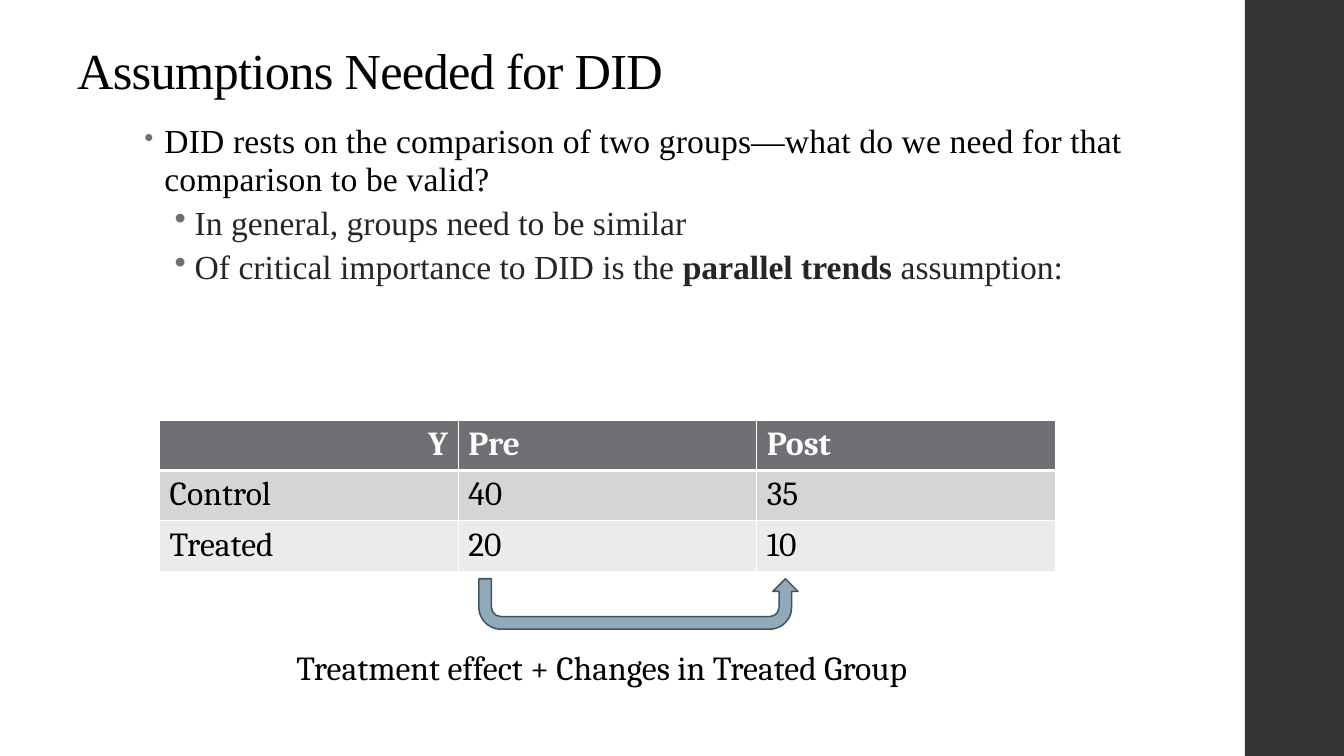
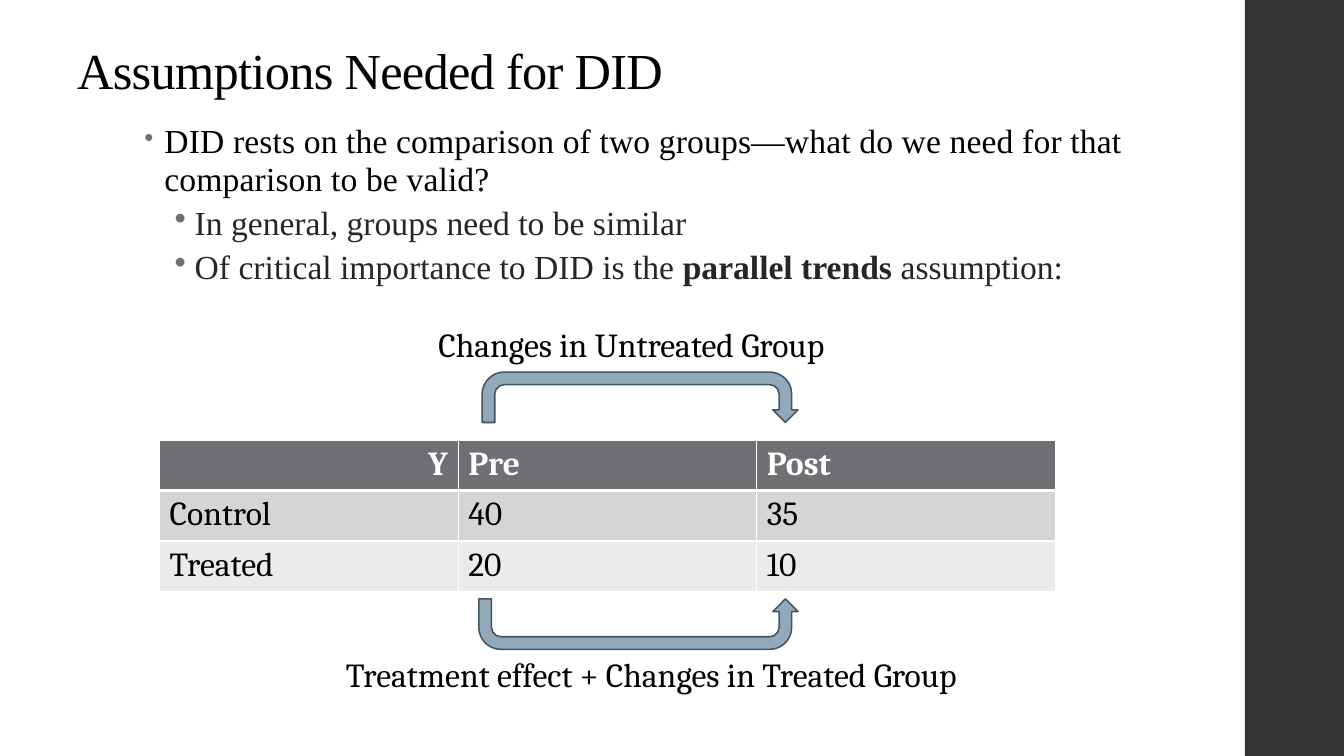
from dataclasses import dataclass
from typing import Optional

from lxml.etree import SubElement
from pptx import Presentation
from pptx.dml.color import RGBColor
from pptx.enum.shapes import MSO_SHAPE as Preset
from pptx.enum.text import MSO_ANCHOR as Anchor, PP_ALIGN as Align
from pptx.oxml.ns import qn
from pptx.util import Emu, Inches, Pt

SLIDE_WIDTH, SLIDE_HEIGHT = Inches(13.33), Inches(7.5)
COLUMNS, ROWS = 160, 90

WHITE = RGBColor(0xFF, 0xFF, 0xFF)
BLACK = RGBColor(0x00, 0x00, 0x00)
SOFT_BLACK = RGBColor(0x26, 0x26, 0x26)
BAND = RGBColor(0x35, 0x35, 0x37)
GRAY = RGBColor(0x6F, 0x6F, 0x74)
ROW_FILLS = (GRAY, RGBColor(0xD5, 0xD5, 0xD6), RGBColor(0xEB, 0xEB, 0xEB))
ARROW_FILL = RGBColor(0x92, 0xA9, 0xB9)
ARROW_LINE = RGBColor(0x41, 0x56, 0x65)
SERIF, TABLE_FONT = "Times New Roman", "Cambria"

TITLE = "Assumptions Needed for DID"
OUTCOMES = (("Y", "Pre", "Post"), ("Control", "40", "35"), ("Treated", "20", "10"))
TABLE_COLUMN, CELL_COLUMNS, CELL_ROWS = 19, 35.55, 5.8


@dataclass(frozen=True)
class Frame:
    """A rectangle in columns and rows of the slide grid."""
    column: float
    row: float
    columns: float
    rows: float

    def lengths(self) -> tuple[Emu, Emu, Emu, Emu]:
        return (across(self.column), down(self.row),
                across(self.columns), down(self.rows))


@dataclass(frozen=True)
class Bullet:
    spans: tuple[tuple[str, bool], ...]
    indent: float = 0.5
    line_spacing: float = 0.9
    before: float = 3
    after: float = 3
    mark_percent: int = 100
    color: RGBColor = SOFT_BLACK
    tracking: float = 0


@dataclass(frozen=True)
class Caption:
    text: str
    frame: Frame


@dataclass(frozen=True)
class Comparison:
    """One slide: where its table starts and the captions of its arrows."""
    table_row: float
    treated: Caption
    untreated: Optional[Caption] = None


BULLETS = (
    Bullet((("DID rests on the comparison of two groups—what do we need "
             "for that comparison to be valid?", False),),
           indent=0.2, line_spacing=0.95, before=0, after=2,
           mark_percent=80, color=BLACK, tracking=0.1),
    Bullet((("In general, groups need to be similar", False),)),
    Bullet((("Of critical importance to DID is the ", False),
            ("parallel trends ", True), ("assumption:", False))),
)
TREATED_TEXT = "Treatment effect + Changes in Treated Group"
COMPARISONS = (
    Comparison(50, Caption(TREATED_TEXT, Frame(34.1, 76.4, 87.4, 6))),
    Comparison(52.4, Caption(TREATED_TEXT, Frame(40, 77.3, 87.4, 6)),
               Caption("Changes in Untreated Group", Frame(51, 38, 66.6, 6))),
)


def across(columns: float) -> Emu:
    return Emu(round(SLIDE_WIDTH * columns / COLUMNS))


def down(rows: float) -> Emu:
    return Emu(round(SLIDE_HEIGHT * rows / ROWS))


def add_span(para, text: str, *, font: str, color: RGBColor, size: float = 24,
             bold: bool = False, tracking: float = 0) -> None:
    span = para.add_run()
    span.text = text
    span.font.name, span.font.size, span.font.bold = font, Pt(size), bold
    span.font.color.rgb = color
    if tracking:
        span.font._element.set("spc", str(round(tracking * 100)))


def add_box(page, frame: Frame, anchor=Anchor.TOP):
    text_frame = page.shapes.add_textbox(*frame.lengths()).text_frame
    text_frame.word_wrap = True
    text_frame.vertical_anchor = anchor
    return text_frame


def add_preset(page, preset, frame: Frame, fill: RGBColor):
    shape = page.shapes.add_shape(preset, *frame.lengths())
    shape.shadow.inherit = False
    shape.fill.solid()
    shape.fill.fore_color.rgb = fill
    shape.line.fill.background()
    return shape


def add_title(page) -> None:
    para = add_box(page, Frame(8, 4.4, 137, 8.2), Anchor.BOTTOM).paragraphs[0]
    para.line_spacing = 0.9
    add_span(para, TITLE, font=SERIF, color=BLACK, size=36, tracking=-0.5)


def format_bullet(para, bullet: Bullet) -> None:
    para.line_spacing = bullet.line_spacing
    para.space_before, para.space_after = Pt(bullet.before), Pt(bullet.after)
    properties = para._p.get_or_add_pPr()
    properties.set("marL", str(Inches(bullet.indent)))
    properties.set("indent", str(Inches(-0.2)))
    mark_color = SubElement(properties, qn("a:buClr"))
    SubElement(mark_color, qn("a:srgbClr"), val=str(GRAY))
    SubElement(properties, qn("a:buSzPct"), val=str(bullet.mark_percent * 1000))
    SubElement(properties, qn("a:buChar"), char="•")


def add_bullets(page) -> None:
    body = add_box(page, Frame(16, 14, 123.5, 67.5))
    for index, bullet in enumerate(BULLETS):
        para = body.add_paragraph() if index else body.paragraphs[0]
        format_bullet(para, bullet)
        for text, bold in bullet.spans:
            add_span(para, text, font=SERIF, color=bullet.color, bold=bold,
                     tracking=bullet.tracking)


def add_borders(cell, **widths: float) -> None:
    """Draw white borders; the keywords are the sides L, R, T and B."""
    properties = cell._tc.get_or_add_tcPr()
    for side, width in widths.items():
        line = SubElement(properties, qn(f"a:ln{side}"), w=str(Pt(width)))
        fill = SubElement(line, qn("a:solidFill"))
        SubElement(fill, qn("a:srgbClr"), val=str(WHITE))


def add_outcomes(page, top: float) -> None:
    count = len(OUTCOMES)
    frame = Frame(TABLE_COLUMN, top, CELL_COLUMNS * count, CELL_ROWS * count)
    table = page.shapes.add_table(count, count, *frame.lengths()).table
    table.first_row = table.horz_banding = False
    for row, values in enumerate(OUTCOMES):
        header = row == 0
        for column, value in enumerate(values):
            cell = table.cell(row, column)
            add_borders(cell, L=1, R=1, T=3 if row == 1 else 1, B=3 if header else 1)
            cell.fill.solid()
            cell.fill.fore_color.rgb = ROW_FILLS[row]
            para = cell.text_frame.paragraphs[0]
            para.alignment = Align.RIGHT if header and column == 0 else Align.LEFT
            add_span(para, value, font=TABLE_FONT, bold=header,
                     color=WHITE if header else BLACK)


def add_change(page, caption: Caption, frame: Frame, *, below: bool) -> None:
    """Draw a U-turn arrow from Pre to Post with its caption."""
    arrow = add_preset(page, Preset.U_TURN_ARROW, frame, ARROW_FILL)
    for index, value in enumerate((0.25, 0.25, 0.25, 0.438, 1)):
        arrow.adjustments[index] = value
    arrow.line.color.rgb = ARROW_LINE
    arrow.line.width = Pt(1.1)
    if below:
        arrow.rotation = 180
        arrow._element.spPr.xfrm.set("flipH", "1")
    para = add_box(page, caption.frame).paragraphs[0]
    add_span(para, caption.text, font=TABLE_FONT, color=BLACK)


def add_comparison(deck, comparison: Comparison) -> None:
    page = deck.slides.add_slide(deck.slide_layouts[6])
    add_preset(page, Preset.RECTANGLE, Frame(148.2, 0, 11.8, ROWS), BAND)
    add_title(page)
    add_bullets(page)
    top = comparison.table_row
    add_outcomes(page, top)
    add_change(page, comparison.treated, Frame(57, top + 18.9, 38, 6), below=True)
    if comparison.untreated:
        add_change(page, comparison.untreated, Frame(57.4, top - 8.1, 37.6, 6),
                   below=False)


def main() -> None:
    deck = Presentation()
    deck.slide_width, deck.slide_height = SLIDE_WIDTH, SLIDE_HEIGHT
    for comparison in COMPARISONS:
        add_comparison(deck, comparison)
    deck.save("out.pptx")


if __name__ == "__main__":
    main()
